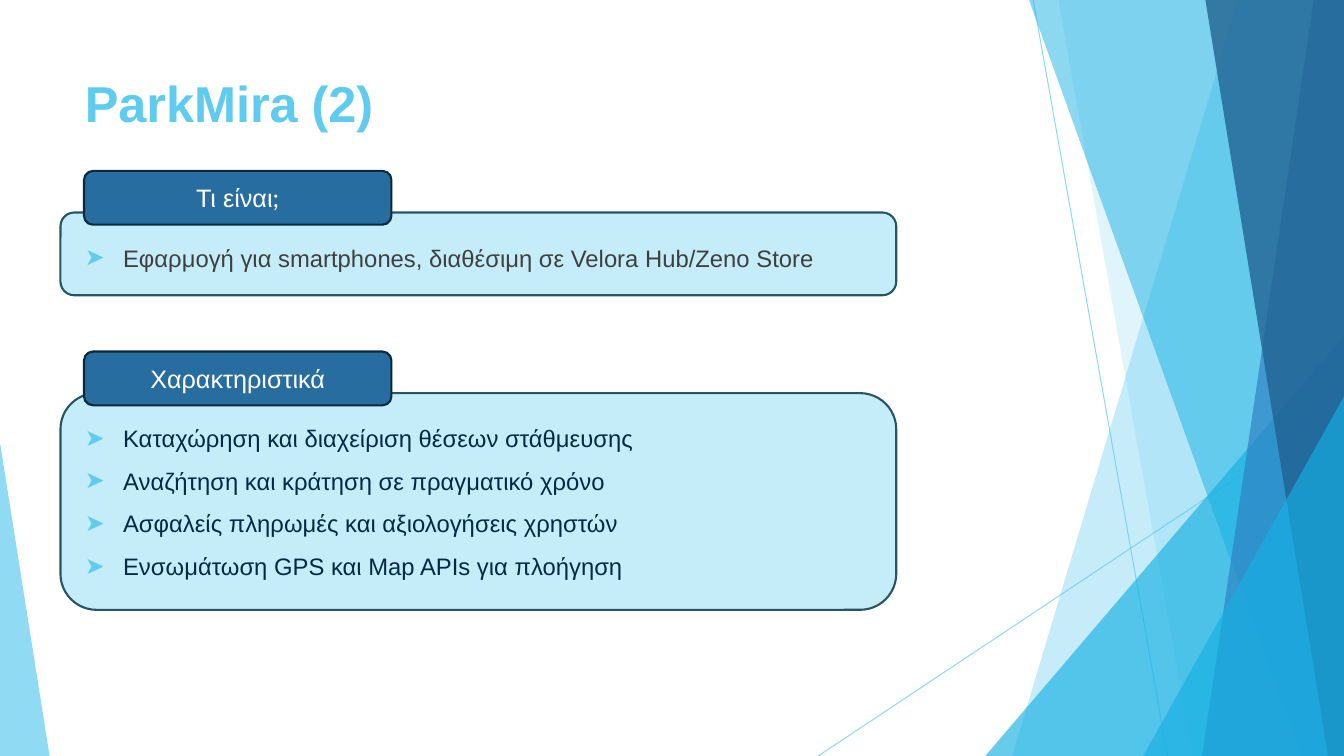
from lxml import etree
from pptx import Presentation
from pptx import util as u
from pptx.dml.color import RGBColor
from pptx.enum import shapes, text
from pptx.oxml import ns

COLORS = {
    "sky": "5FCBEF", "cyan": "16B0E3", "blue": "2E83C3", "navy": "226292",
    "card": "C5ECF9", "card_edge": "285564", "tab": "286D9F", "tab_edge": "072A41",
    "gray": "3F3F3F", "ink": "022B43", "white": "FFFFFF",
}
COLS, ROWS = 160, 90


class Deck:
    font = "Arial"

    def __init__(self, width, height):
        self.prs = Presentation()
        self.prs.slide_width, self.prs.slide_height = u.Inches(width), u.Inches(height)
        self.s = self.prs.slides.add_slide(self.prs.slide_layouts[3])

    def x(self, cols):
        return round(self.prs.slide_width * cols / COLS)

    def y(self, rows):
        return round(self.prs.slide_height * rows / ROWS)

    def box(self, left, top, width, height):
        return self.x(left), self.y(top), self.x(width), self.y(height)

    def rgb(self, name):
        return RGBColor.from_string(COLORS[name])

    def fade(self, sp, percent):
        clr = sp.element.spPr.find(".//" + ns.qn("a:srgbClr"))
        etree.SubElement(clr, ns.qn("a:alpha"), val=str(percent * 1000))

    def paint(self, sp, fill, edge=None, alpha=100):
        sp.shadow.inherit = False
        sp.fill.solid()
        sp.fill.fore_color.rgb = self.rgb(fill)
        if edge:
            sp.line.color.rgb = self.rgb(edge)
            sp.line.width = u.Pt(1.5)
        else:
            sp.line.fill.background()
        if alpha < 100:
            self.fade(sp, alpha)

    def run(self, p, words, size, color, **formats):
        r = p.add_run()
        r.text = words
        r.font.color.rgb = self.rgb(color)
        values = {"name": self.font, "size": u.Pt(size), "bold": False, **formats}
        for name, value in values.items():
            setattr(r.font, name, value)

    def ray(self, start, end):
        sp = self.s.shapes.add_connector(
            shapes.MSO_CONNECTOR.STRAIGHT, self.x(start[0]), self.y(start[1]),
            self.x(end[0]), self.y(end[1]))
        sp.line.color.rgb = self.rgb("sky")
        sp.line.width = u.Pt(0.75)
        self.fade(sp, 69)
        etree.SubElement(sp.element.spPr, ns.qn("a:effectLst"))

    def shard(self, top, bottom, color, alpha):
        builder = self.s.shapes.build_freeform(self.x(top), 0)
        corners = [(COLS, 0), (COLS, ROWS), (bottom, ROWS)]
        builder.add_line_segments([(self.x(c), self.y(r)) for c, r in corners])
        self.paint(builder.convert_to_shape(), color, alpha=alpha)

    def wedge(self, left, top, width, peak, color, alpha):
        sp = self.s.shapes.add_shape(
            shapes.MSO_SHAPE.ISOSCELES_TRIANGLE, *self.box(left, top, width, ROWS - top))
        sp.adjustments[0] = peak
        self.paint(sp, color, alpha=alpha)

    def panel(self, area, fill, edge):
        sp = self.s.shapes.add_shape(shapes.MSO_SHAPE.ROUNDED_RECTANGLE, *self.box(*area))
        self.paint(sp, fill, edge)
        return sp

    def placeholder(self, index, area):
        sp = self.s.placeholders[index]
        sp.element.getparent().append(sp.element)
        for name, value in zip(("left", "top", "width", "height"), self.box(*area)):
            setattr(sp, name, value)
        formats = {"word_wrap": True, "auto_size": text.MSO_AUTO_SIZE.NONE,
                   "vertical_anchor": text.MSO_ANCHOR.TOP}
        for name, value in formats.items():
            setattr(sp.text_frame, name, value)
        return sp.text_frame

    def title(self, words, area):
        p = self.placeholder(0, area).paragraphs[0]
        p.alignment = text.PP_ALIGN.LEFT
        self.run(p, words, 36, "sky", bold=True)

    def bullets(self, index, area, items, color):
        tf = self.placeholder(index, area)
        for i, words in enumerate(items):
            p = tf.add_paragraph() if i else tf.paragraphs[0]
            pPr = p._p.get_or_add_pPr()
            pPr.set("marL", str(u.Inches(0.38)))
            pPr.set("indent", str(-u.Inches(0.38)))
            clr = etree.SubElement(pPr, ns.qn("a:buClr"))
            etree.SubElement(clr, ns.qn("a:srgbClr"), val=COLORS["sky"])
            etree.SubElement(pPr, ns.qn("a:buFont"), typeface=self.font)
            etree.SubElement(pPr, ns.qn("a:buChar"), char="➤")
            p.space_before = u.Pt(10 if i else 0)
            self.run(p, words, 17, color)

    def section(self, index, top, height, heading, items, color):
        self.panel((7.2, top, 99.5, height), "card", "card_edge")
        tab = self.panel((10, top - 4.95, 36.6, 6.4), "tab", "tab_edge")
        tab.text_frame.vertical_anchor = text.MSO_ANCHOR.MIDDLE
        p = tab.text_frame.paragraphs[0]
        p.alignment = text.PP_ALIGN.CENTER
        for words, font in heading:
            self.run(p, words, 18, "white", name=font)
        self.bullets(index, (8.9, top + 3.05, 95.9, height - 2.5), items, color)


def main():
    deck = Deck(13.33, 7.5)
    deck.ray((123, 0), (139, ROWS))
    deck.ray((COLS, 48.4), (97.4, ROWS))
    deck.shard(147.4, 120.5, "sky", 35)
    deck.shard(126, 142, "sky", 20)
    deck.wedge(117.3, 40, 42.7, 1, "cyan", 65)
    deck.shard(122.5, 154.9, "cyan", 49)
    deck.shard(156.4, 143.1, "blue", 69)
    deck.shard(143.5, 158.1, "navy", 80)
    deck.wedge(136.1, 47.2, 23.9, 1, "cyan", 65)
    deck.wedge(0, 52.7, 5.9, 0, "sky", 69)

    deck.title("ParkMira (2)", (8.9, 8, 112.8, 17.3))
    deck.section(1, 25.3, 9.85, [("Τι είναι", "Arial"), (";", "Lato")], [
        "Εφαρμογή για smartphones, διαθέσιμη σε Velora Hub/Zeno Store",
    ], "gray")
    deck.section(2, 46.8, 25.8, [("Χαρακτηριστικά", "Arial")], [
        "Καταχώρηση και διαχείριση θέσεων στάθμευσης",
        "Αναζήτηση και κράτηση σε πραγματικό χρόνο",
        "Ασφαλείς πληρωμές και αξιολογήσεις χρηστών",
        "Ενσωμάτωση GPS και Map APIs για πλοήγηση",
    ], "ink")
    deck.prs.save("out.pptx")


if __name__ == "__main__":
    main()
